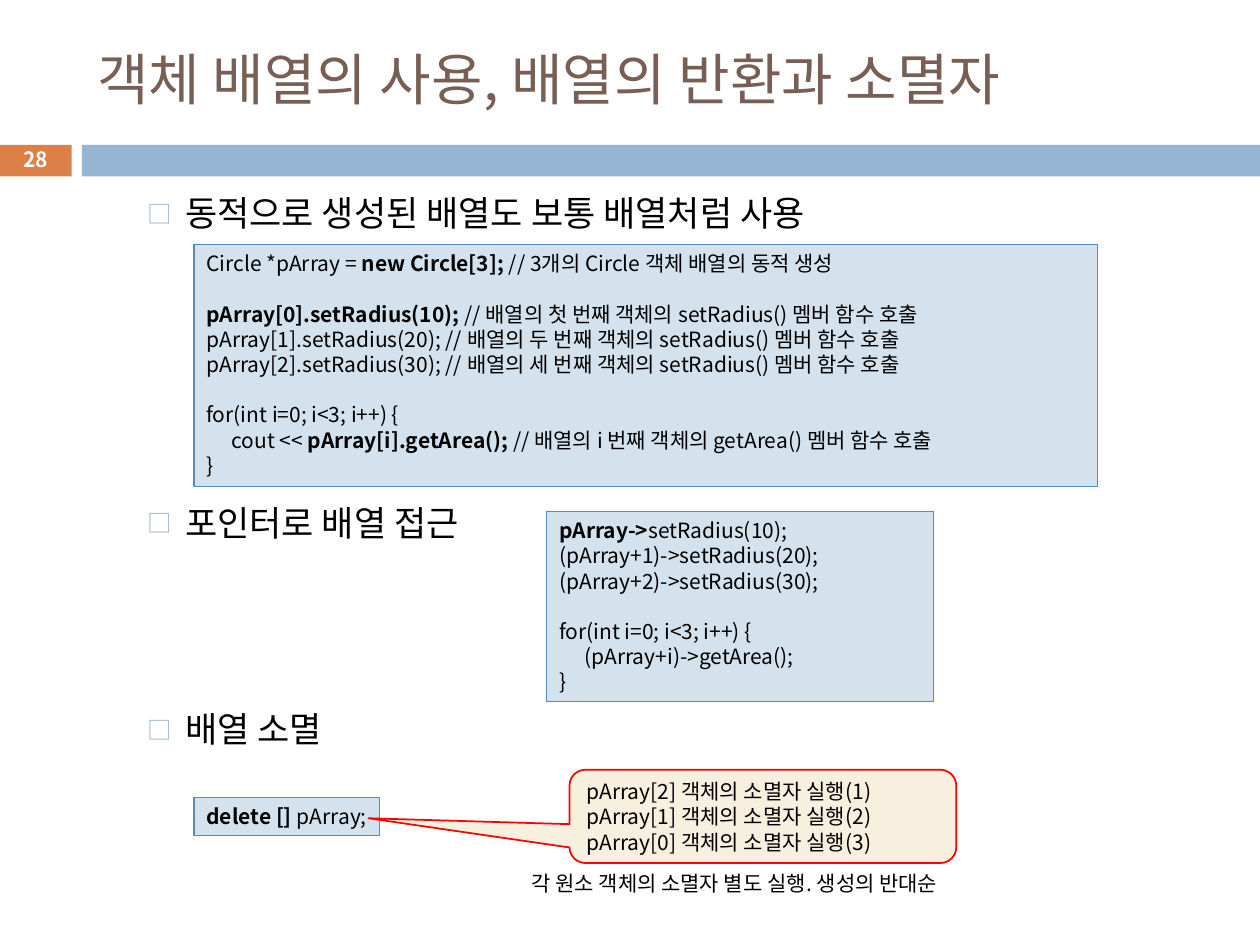
from dataclasses import dataclass
from typing import Optional

from lxml.etree import SubElement
from pptx import Presentation
from pptx.dml.color import RGBColor
from pptx.enum.shapes import MSO_SHAPE
from pptx.enum.text import MSO_ANCHOR, MSO_AUTO_SIZE, PP_ALIGN
from pptx.oxml.ns import qn
from pptx.util import Inches, Pt

COLS, ROWS = 100, 75
WIDE, HIGH = Inches(10), Inches(7.5)
FONT = "Noto Sans CJK KR"
BLACK, WHITE, BROWN = "000000", "FFFFFF", "775F55"
BLUE, ORANGE, PALE, EDGE = "94B6D2", "DD8047", "D4E2ED", "558BB8"
CREAM, RED = "F7F0DE", "FF0000"
LEAD = 1.2


@dataclass
class Area:
    col: float
    row: float
    cols: float
    rows: float

    def box(self) -> tuple[int, int, int, int]:
        return (int(WIDE * self.col / COLS), int(HIGH * self.row / ROWS),
                int(WIDE * self.cols / COLS), int(HIGH * self.rows / ROWS))


@dataclass
class Run:
    text: str
    bold: bool = False


@dataclass
class Line:
    runs: list[Run]
    gap: float = 0
    inset: float = 0


@dataclass
class Panel:
    area: Area
    lines: list[Line]
    fill: Optional[str] = PALE
    edge: Optional[str] = EDGE
    weight: float = 0.75
    kind: MSO_SHAPE = MSO_SHAPE.RECTANGLE
    anchor: MSO_ANCHOR = MSO_ANCHOR.TOP
    wrap: bool = True


def paint(text: str) -> RGBColor:
    return RGBColor.from_string(text)


def write(para, run: Run, size: float, color: str) -> None:
    part = para.add_run()
    part.text = run.text
    part.font.size, part.font.bold, part.font.name = Pt(size), run.bold, FONT
    part.font.color.rgb = paint(color)
    SubElement(part.font._element, qn("a:ea")).set("typeface", FONT)


def fill_in(frame, lines: list[Line], size: float = 12, color: str = BLACK,
            align: PP_ALIGN = PP_ALIGN.LEFT) -> None:
    for i, line in enumerate(lines):
        para = frame.add_paragraph() if i else frame.paragraphs[0]
        para.alignment = align
        para.line_spacing = Pt(size * LEAD)
        para.space_before = Pt(line.gap)
        if line.inset:
            props = para._p.get_or_add_pPr()
            props.set("marL", str(int(WIDE * line.inset / COLS)))
            props.set("indent", "0")
        for run in line.runs:
            write(para, run, size, color)


def draw(slide, panel: Panel):
    shape = slide.shapes.add_shape(panel.kind, *panel.area.box())
    shape.shadow.inherit = False
    shape.fill.solid()
    shape.fill.fore_color.rgb = paint(panel.fill)
    if panel.edge:
        shape.line.color.rgb = paint(panel.edge)
        shape.line.width = Pt(panel.weight)
    else:
        shape.line.fill.background()
    frame = shape.text_frame
    frame.word_wrap = panel.wrap
    frame.vertical_anchor = panel.anchor
    fill_in(frame, panel.lines)
    return shape


def label(slide, area: Area, lines: list[Line], size: float = 12,
          color: str = BLACK, align: PP_ALIGN = PP_ALIGN.LEFT):
    frame = slide.shapes.add_textbox(*area.box()).text_frame
    frame.word_wrap = True
    fill_in(frame, lines, size, color, align)
    return frame


def mark(para) -> None:
    props = para._p.get_or_add_pPr()
    props.set("marL", str(Inches(0.7)))
    props.set("indent", str(Inches(-0.3)))
    tint = SubElement(props, qn("a:buClr"))
    SubElement(tint, qn("a:srgbClr")).set("val", BLUE)
    SubElement(props, qn("a:buSzPct")).set("val", "70000")
    SubElement(props, qn("a:buFont")).set("typeface", FONT)
    SubElement(props, qn("a:buChar")).set("char", "□")


def head(slide, text: str) -> None:
    title = slide.shapes.title
    title.left, title.top, title.width, title.height = Area(6.7, 2.5, 89.2, 7.4).box()
    frame = title.text_frame
    frame.auto_size = MSO_AUTO_SIZE.NONE
    frame.word_wrap = True
    frame.vertical_anchor = MSO_ANCHOR.MIDDLE
    frame.paragraphs[0].alignment = PP_ALIGN.LEFT
    write(frame.paragraphs[0], Run(text), 32, BROWN)


SKIP = 12 * LEAD
LOOP = "for(int i=0; i<3; i++) {"
BARS = [Panel(Area(0, 11.5, 5.7, 2.5), [], ORANGE, None),
        Panel(Area(6.5, 11.5, 93.5, 2.5), [], BLUE, None)]
TOPICS = [Line([Run("동적으로 생성된 배열도 보통 배열처럼 사용")]),
          Line([Run("포인터로 배열 접근")], gap=153),
          Line([Run("배열 소멸")], gap=94)]
CODE = [
    Panel(Area(15.4, 19.4, 71.7, 19.2), [
        Line([Run("Circle *pArray = "), Run("new Circle[3]; ", True),
              Run("// 3개의 Circle 객체 배열의 동적 생성")]),
        Line([Run("pArray[0].setRadius(10); ", True),
              Run("// 배열의 첫 번째 객체의 setRadius() 멤버 함수 호출")], gap=SKIP),
        Line([Run("pArray[1].setRadius(20); // 배열의 두 번째 객체의 setRadius() 멤버 함수 호출")]),
        Line([Run("pArray[2].setRadius(30); // 배열의 세 번째 객체의 setRadius() 멤버 함수 호출")]),
        Line([Run(LOOP)], gap=SKIP),
        Line([Run("cout << "), Run("pArray[i].getArea(); ", True),
              Run("// 배열의 i 번째 객체의 getArea() 멤버 함수 호출")], inset=2),
        Line([Run("}")])]),
    Panel(Area(43.4, 40.6, 30.7, 15.1), [
        Line([Run("pArray->", True), Run("setRadius(10);")]),
        Line([Run("(pArray+1)->setRadius(20);")]),
        Line([Run("(pArray+2)->setRadius(30);")]),
        Line([Run(LOOP)], gap=SKIP),
        Line([Run("(pArray+i)->getArea();")], inset=2),
        Line([Run("}")])]),
    Panel(Area(15.4, 63.3, 14.7, 3),
          [Line([Run("delete [] ", True), Run("pArray;")])], wrap=False),
]
CALL = Panel(Area(45.2, 61.1, 30.7, 7.4),
             [Line([Run(f"pArray[{2 - i}] 객체의 소멸자 실행({i + 1})")]) for i in range(3)],
             CREAM, RED, 1, MSO_SHAPE.ROUNDED_RECTANGULAR_CALLOUT, MSO_ANCHOR.MIDDLE)


def main() -> None:
    deck = Presentation()
    deck.slide_width, deck.slide_height = WIDE, HIGH
    slide = deck.slides.add_slide(deck.slide_layouts[5])
    head(slide, "객체 배열의 사용, 배열의 반환과 소멸자")
    for bar in BARS:
        draw(slide, bar)
    for para in label(slide, Area(6.7, 14.7, 89.2, 59.1), TOPICS, 20).paragraphs:
        mark(para)
    page = label(slide, Area(0, 11.3, 5.7, 2.7), [Line([Run("28", True)])],
                 12, WHITE, PP_ALIGN.CENTER)
    page.vertical_anchor = MSO_ANCHOR.MIDDLE
    for panel in CODE:
        draw(slide, panel)
    call = draw(slide, CALL)
    for i, share in enumerate((-1.02, 0.02, 0.17)):
        call.adjustments[i] = share
    label(slide, Area(41.2, 68.6, 38.5, 3),
          [Line([Run("각 원소 객체의 소멸자 별도 실행. 생성의 반대순")])])
    deck.save("out.pptx")


if __name__ == "__main__":
    main()
